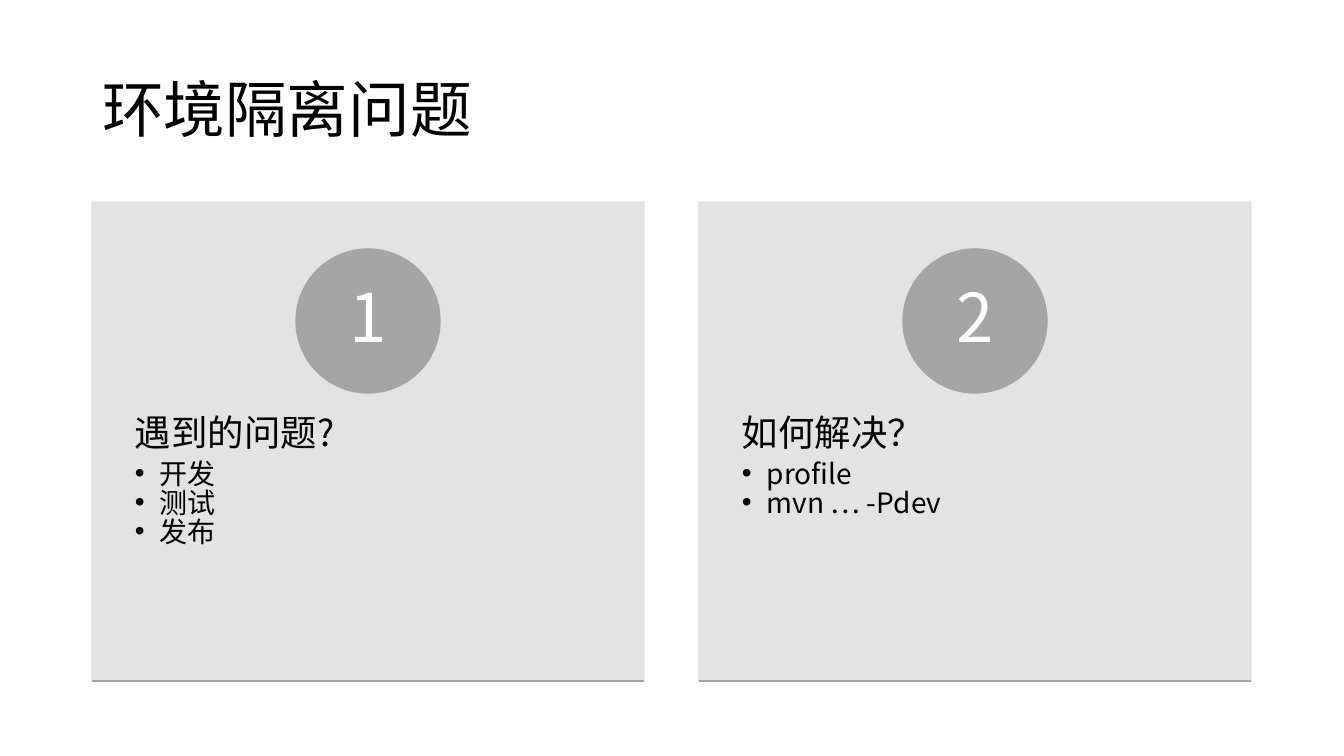
from lxml import etree
from pptx import Presentation
from pptx.dml.color import RGBColor
from pptx.enum.shapes import MSO_CONNECTOR, MSO_SHAPE
from pptx.enum.text import MSO_ANCHOR, PP_ALIGN
from pptx.oxml.ns import qn
from pptx.util import Pt

TITLE = "环境隔离问题"
CARDS = [
    ("1", "遇到的问题?", ["开发", "测试", "发布"]),
    ("2", "如何解决？", ["profile", "mvn … -Pdev"]),
]
FONT = "Noto Sans CJK SC"
BLACK, WHITE, PALE, GRAY = "000000", "FFFFFF", "E1E1E1", "A5A5A5"
RECT, OVAL = MSO_SHAPE.RECTANGLE, MSO_SHAPE.OVAL
STRAIGHT = MSO_CONNECTOR.STRAIGHT
MIDDLE, TOP = MSO_ANCHOR.MIDDLE, MSO_ANCHOR.TOP
LEFT, CENTER = PP_ALIGN.LEFT, PP_ALIGN.CENTER

SLIDE_W, SLIDE_H = 1344, 756
CARD_X, CARD_Y, CARD_W, CARD_H, CARD_STEP = 92, 202, 552, 479, 607
CIRCLE_Y, CIRCLE_D, NUMBER_D = 249, 144, 102
BODY_Y, BODY_H = 383, 288
BULLET_INDENT = 25


def px(n):
    return round(n * 914400 / 100.8)


def rgb(value):
    return RGBColor.from_string(value)


def set_alpha(color_format, percent):
    for clr in color_format.iter(qn("a:srgbClr")):
        etree.SubElement(clr, qn("a:alpha"), val=str(percent * 1000))


def add_box(s, kind, x, y, w, h, color, alpha=100):
    sp = s.shapes.add_shape(kind, px(x), px(y), px(w), px(h))
    sp.shadow.inherit = False
    sp.fill.solid()
    sp.fill.fore_color.rgb = rgb(color)
    sp.line.color.rgb = rgb(color)
    sp.line.width = Pt(1)
    if alpha < 100:
        set_alpha(sp.element.spPr, alpha)


def add_rule(s, x, y, w, color):
    line = s.shapes.add_connector(STRAIGHT, px(x), px(y), px(x + w), px(y))
    line.line.color.rgb = rgb(color)
    line.line.width = Pt(1)
    etree.SubElement(line.element.spPr, qn("a:effectLst"))


def style(p, size, color, align=LEFT, spacing=0.9, after=0):
    p.alignment = align
    p.line_spacing = spacing
    p.space_after = Pt(after)
    for r in p.runs:
        r.font.size = Pt(size)
        r.font.name = FONT
        r.font.color.rgb = rgb(color)
        etree.SubElement(r._r.get_or_add_rPr(), qn("a:ea"), typeface=FONT)


def add_text(s, x, y, w, h, lines, anchor, inset_x, inset_y):
    tf = s.shapes.add_textbox(px(x), px(y), px(w), px(h)).text_frame
    tf.word_wrap = True
    tf.vertical_anchor = anchor
    tf.margin_left = tf.margin_right = px(inset_x)
    tf.margin_top = tf.margin_bottom = px(inset_y)
    tf.text = "\n".join(lines)
    return tf.paragraphs


def add_bullet(p):
    pPr = p._p.get_or_add_pPr()
    pPr.set("marL", str(px(BULLET_INDENT)))
    pPr.set("indent", str(-px(BULLET_INDENT)))
    etree.SubElement(pPr, qn("a:buFont"), typeface="Arial")
    etree.SubElement(pPr, qn("a:buChar"), char="•")


def add_card(s, x, number, heading, bullets):
    add_box(s, RECT, x, CARD_Y, CARD_W, CARD_H, PALE, 90)

    head, *items = add_text(s, x, BODY_Y, CARD_W, BODY_H,
                            [heading, *bullets], TOP, 43, 36)
    style(head, 26, BLACK, spacing=0.8, after=6.5)
    for p in items:
        p.level = 1
        add_bullet(p)
        style(p, 20, BLACK, spacing=0.8, after=1.5)

    center = x + CARD_W / 2
    add_box(s, OVAL, center - CIRCLE_D / 2, CIRCLE_Y, CIRCLE_D, CIRCLE_D, GRAY)
    number_y = CIRCLE_Y + (CIRCLE_D - NUMBER_D) / 2
    for p in add_text(s, center - NUMBER_D / 2, number_y, NUMBER_D, NUMBER_D,
                      [number], MIDDLE, 11, 1):
        style(p, 48, WHITE, CENTER)

    add_rule(s, x, CARD_Y + CARD_H, CARD_W, GRAY)


def main():
    prs = Presentation()
    prs.slide_width, prs.slide_height = px(SLIDE_W), px(SLIDE_H)
    s = prs.slides.add_slide(prs.slide_layouts[5])

    title = s.shapes.title
    title.left, title.top = px(CARD_X), px(40)
    title.width, title.height = px(1159), px(146)
    title.text_frame.text = TITLE
    title.text_frame.vertical_anchor = MIDDLE
    style(title.text_frame.paragraphs[0], 44, BLACK)

    for i, card in enumerate(CARDS):
        add_card(s, CARD_X + i * CARD_STEP, *card)

    prs.save("out.pptx")


if __name__ == "__main__":
    main()
